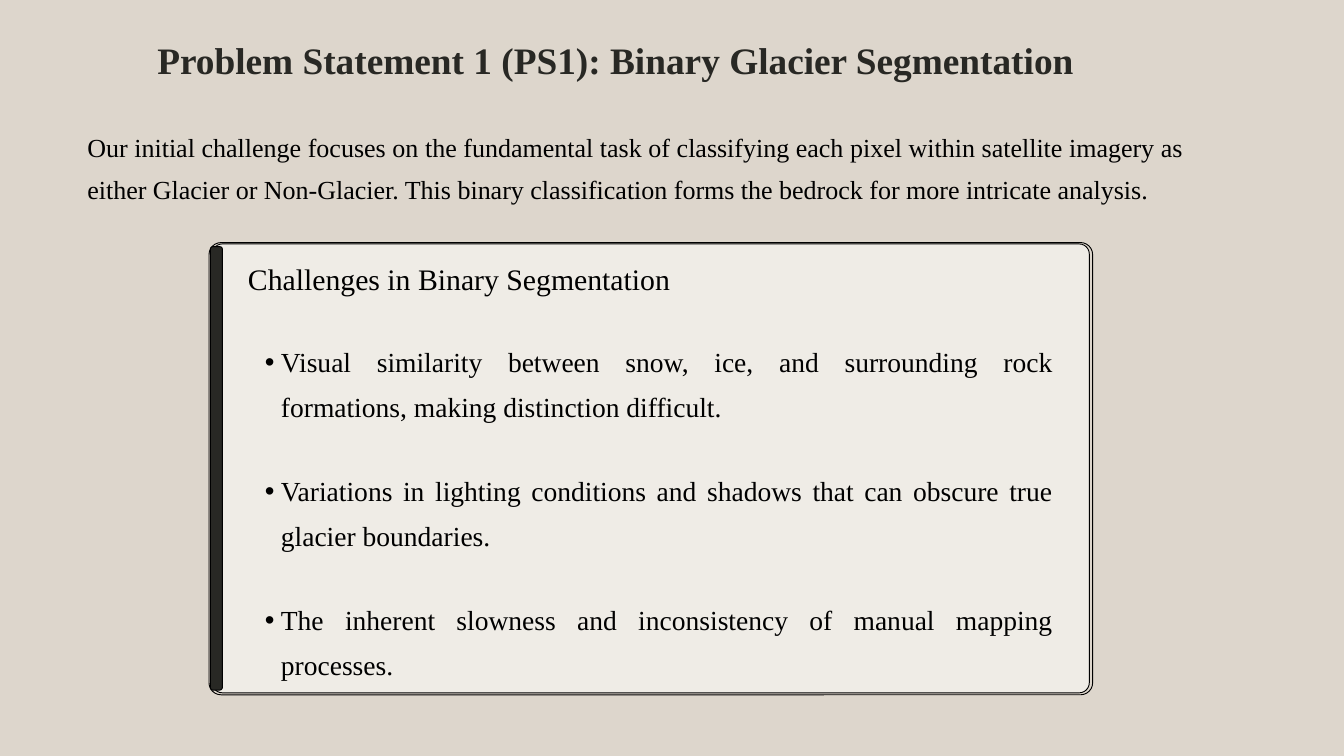
"""Build the slide on binary glacier segmentation."""
from dataclasses import dataclass

from lxml.etree import SubElement
from pptx import Presentation
from pptx.dml.color import RGBColor
from pptx.enum.shapes import MSO_SHAPE as Preset
from pptx.enum.text import MSO_ANCHOR as Anchor, MSO_AUTO_SIZE as AutoSize, PP_ALIGN as Align
from pptx.oxml.ns import qn
from pptx.util import Inches, Pt

COLUMNS, ROWS = 20, 11.25
CELL = Inches(1)
FONT = "Times New Roman"
SAND = RGBColor(0xDD, 0xD6, 0xCC)
CREAM = RGBColor(0xEF, 0xEC, 0xE6)
CHARCOAL = RGBColor(0x28, 0x28, 0x24)
BLACK = RGBColor(0, 0, 0)


@dataclass(frozen=True)
class Area:
    """A place on the slide in grid columns and rows."""
    column: float
    row: float
    columns: float
    rows: float

    def lengths(self) -> tuple[int, ...]:
        """Return left, top, width and height."""
        return tuple(round(cells * CELL) for cells in (self.column, self.row, self.columns, self.rows))


@dataclass(frozen=True)
class Style:
    """The look of a block of text."""
    size: float
    line: float
    color: RGBColor = BLACK
    bold: bool = False
    align: Align = Align.LEFT
    bullet: str = ""
    gap: float = 0


@dataclass(frozen=True)
class Panel:
    """A rounded, outlined rectangle."""
    area: Area
    fill: RGBColor
    radius: float


TITLE_STYLE = Style(40, 49.9, CHARCOAL, bold=True)
INTRO_STYLE = Style(27.9, 45.4, align=Align.JUSTIFY)
HEADING_STYLE = Style(31.9, 40.3)
LIST_STYLE = Style(29.5, 48.1, align=Align.JUSTIFY, bullet="•", gap=42)

PANELS = (
    Panel(Area(3.11, 3.61, 13.15, 6.73), SAND, 0.18),
    Panel(Area(3.16, 3.63, 13.05, 6.68), CREAM, 0.15),
    Panel(Area(3.13, 3.67, 0.18, 6.6), CHARCOAL, 0.04),
)
INTRO = (
    "Our initial challenge focuses on the fundamental task of classifying each pixel within "
    "satellite imagery as either Glacier or Non-Glacier. This binary classification forms the "
    "bedrock for more intricate analysis."
)
CHALLENGES = (
    "Visual similarity between snow, ice, and surrounding rock formations, making distinction difficult.",
    "Variations in lighting conditions and shadows that can obscure true glacier boundaries.",
    "The inherent slowness and inconsistency of manual mapping processes.",
)


def draw_panel(slide, panel: Panel) -> None:
    """Draw one rounded panel."""
    shape = slide.shapes.add_shape(Preset.ROUNDED_RECTANGLE, *panel.area.lengths())
    shape.adjustments[0] = panel.radius / min(panel.area.columns, panel.area.rows)
    shape.shadow.inherit = False
    shape.fill.solid()
    shape.fill.fore_color.rgb = panel.fill
    shape.line.color.rgb = BLACK
    shape.line.width = Pt(1)


def add_bullet(para, mark: str) -> None:
    """Give a paragraph a hanging bullet."""
    properties = para._p.get_or_add_pPr()
    properties.set("marL", str(Inches(0.49)))
    properties.set("indent", str(Inches(-0.24)))
    SubElement(properties, qn("a:buFont"), typeface="Arial")
    SubElement(properties, qn("a:buChar"), char=mark)


def write(box, area: Area, style: Style, *texts: str) -> None:
    """Place a box and fill it with styled paragraphs."""
    box.left, box.top, box.width, box.height = area.lengths()
    frame = box.text_frame
    frame.word_wrap = True
    frame.auto_size = AutoSize.NONE
    frame.vertical_anchor = Anchor.TOP
    frame.margin_left = frame.margin_top = frame.margin_right = frame.margin_bottom = 0
    for index, text in enumerate(texts):
        para = frame.add_paragraph() if index else frame.paragraphs[0]
        para.text = text
        para.alignment = style.align
        para.line_spacing = Pt(style.line)
        para.space_before = Pt(style.gap if index else 0)
        if style.bullet:
            add_bullet(para, style.bullet)
        font = para.font
        font.name, font.size, font.bold = FONT, Pt(style.size), style.bold
        font.color.rgb = style.color


def add_text(slide, area: Area, style: Style, text: str) -> None:
    """Add a text box with one paragraph."""
    write(slide.shapes.add_textbox(*area.lengths()), area, style, text)


def main() -> None:
    """Build and save the deck."""
    deck = Presentation()
    deck.slide_width, deck.slide_height = round(COLUMNS * CELL), round(ROWS * CELL)
    slide = deck.slides.add_slide(deck.slide_layouts[1])
    slide.background.fill.solid()
    slide.background.fill.fore_color.rgb = SAND

    title, body = slide.placeholders
    write(title, Area(2.34, 0.53, 13.67, 0.7), TITLE_STYLE,
          "Problem Statement 1 (PS1): Binary Glacier Segmentation")
    add_text(slide, Area(1.3, 1.79, 16.31, 1.23), INTRO_STYLE, INTRO)
    for panel in PANELS:
        draw_panel(slide, panel)
    add_text(slide, Area(3.69, 3.85, 8.73, 0.58), HEADING_STYLE, "Challenges in Binary Segmentation")
    write(body, Area(3.69, 4.96, 11.98, 5.16), LIST_STYLE, *CHALLENGES)
    slide.shapes._spTree.append(body._element)
    deck.save("out.pptx")


if __name__ == "__main__":
    main()
